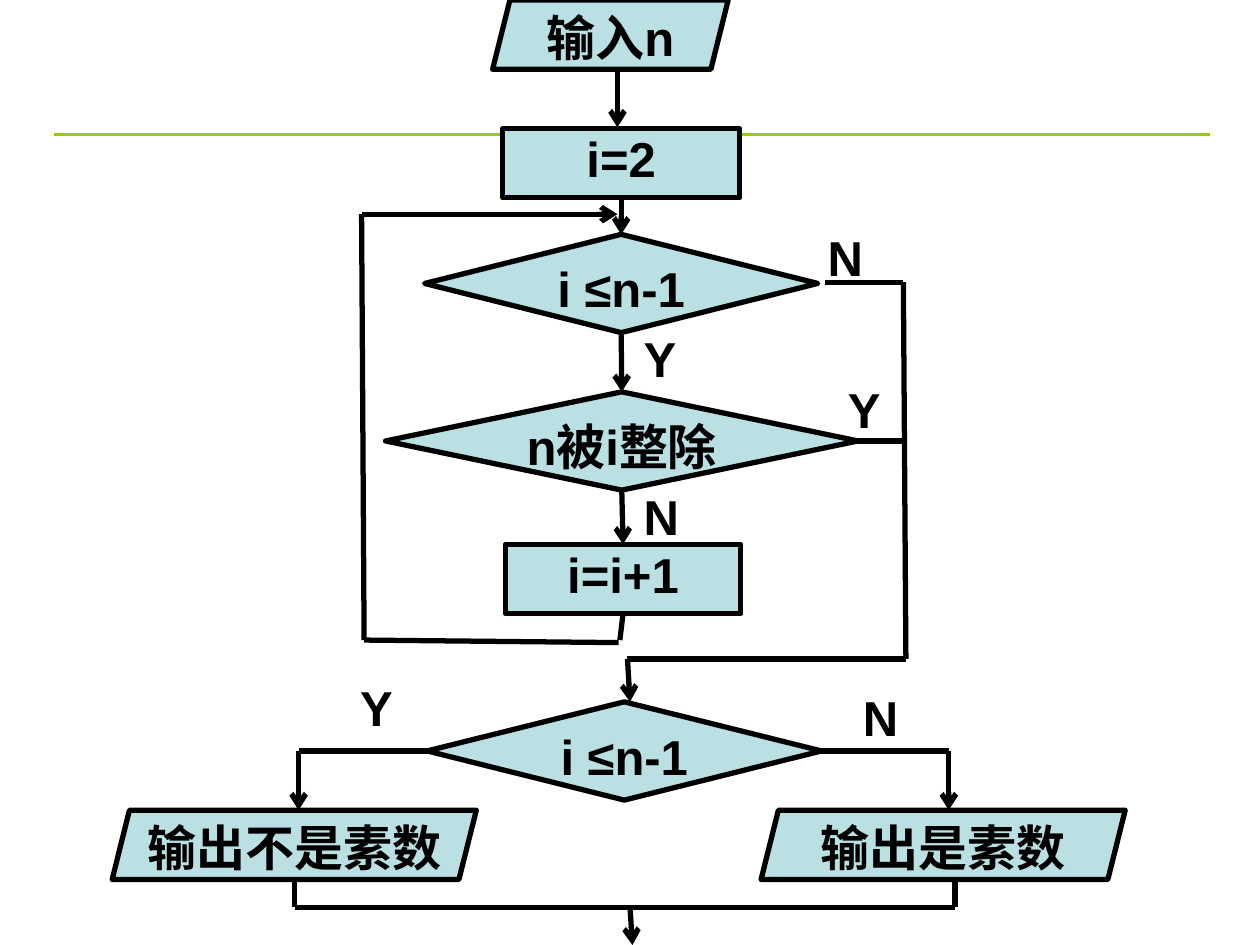
"""Build a flowchart slide that tests whether n is prime."""
from itertools import pairwise

from lxml.etree import SubElement
from pptx import Presentation
from pptx.dml.color import RGBColor
from pptx.enum.shapes import MSO_CONNECTOR as Connector, MSO_SHAPE as Shape
from pptx.enum.text import MSO_ANCHOR as Anchor, PP_ALIGN as Align
from pptx.oxml.ns import qn
from pptx.util import Inches, Pt

BLACK = RGBColor(0x00, 0x00, 0x00)
PALE_TEAL = RGBColor(0xBB, 0xE0, 0xE3)
LIME = RGBColor(0x99, 0xCC, 0x00)
TOP, LEFT, BOTTOM, RIGHT = range(4)


class Flowchart:
    """Holds the style and the page, and draws each kind of element."""

    font_format = {"name": "Arial", "size": Pt(28), "bold": True}
    node_frame = {"margin_left": 0, "margin_top": 0, "margin_right": 0,
                  "margin_bottom": 0, "word_wrap": False,
                  "vertical_anchor": Anchor.TOP}
    label_frame = {"word_wrap": True, "vertical_anchor": Anchor.TOP}
    line_width = 3

    def __init__(self, page):
        self.page = page

    def add_words(self, box, text, frame_format, align):
        frame = box.text_frame
        for name, value in frame_format.items():
            setattr(frame, name, value)
        para = frame.paragraphs[0]
        para.alignment = align
        span = para.add_run()
        span.text = text
        for name, value in self.font_format.items():
            setattr(span.font, name, value)
        span.font.color.rgb = BLACK

    def node(self, kind, text, left, top, width, height):
        box = self.page.shapes.add_shape(
            kind, *map(Inches, (left, top, width, height)))
        box.shadow.inherit = False
        box.fill.solid()
        box.fill.fore_color.rgb = PALE_TEAL
        box.line.color.rgb = BLACK
        box.line.width = Pt(self.line_width)
        self.add_words(box, text, self.node_frame, Align.CENTER)
        return box

    def label(self, text, left, top):
        box = self.page.shapes.add_textbox(
            *map(Inches, (left, top, 0.55, 0.57)))
        self.add_words(box, text, self.label_frame, Align.LEFT)

    def line(self, start, end, color=BLACK, width=line_width):
        line = self.page.shapes.add_connector(
            Connector.STRAIGHT, *map(Inches, (*start, *end)))
        line.line.color.rgb = color
        line.line.width = Pt(width)
        SubElement(line._element.spPr, qn("a:effectLst"))
        return line

    def route(self, *points, begin=None, end=None, arrow=False):
        lines = [self.line(*pair) for pair in pairwise(points)]
        if begin:
            lines[0].begin_connect(*begin)
        if end:
            lines[-1].end_connect(*end)
        if arrow:
            SubElement(lines[-1].get_or_add_ln(), qn("a:tailEnd"), type="arrow")


def main():
    deck = Presentation()
    deck.slide_width, deck.slide_height = Inches(10), Inches(7.5)
    chart = Flowchart(deck.slides.add_slide(deck.slide_layouts[6]))

    chart.line((0.43, 1.07), (9.6, 1.07), LIME, 1.5)

    chart.node(Shape.PARALLELOGRAM, "输入n", 3.91, 0, 1.87, 0.55)
    start = chart.node(Shape.FLOWCHART_PROCESS, "i=2", 3.99, 1.02, 1.88, 0.55)
    loop_test = chart.node(Shape.FLOWCHART_DECISION, "i ≤n-1", 3.37, 1.86, 3.12, 0.78)
    divides = chart.node(Shape.FLOWCHART_DECISION, "n被i整除", 3.06, 3.11, 3.75, 0.78)
    step = chart.node(Shape.FLOWCHART_PROCESS, "i=i+1", 4.01, 4.32, 1.87, 0.55)
    result = chart.node(Shape.FLOWCHART_DECISION, "i ≤n-1", 3.39, 5.57, 3.13, 0.78)
    for text, left in (("输出不是素数", 0.89), ("输出是素数", 6.04)):
        chart.node(Shape.PARALLELOGRAM, text, left, 6.43, 2.89, 0.55)

    chart.route((4.9, 0.54), (4.9, 1.01), arrow=True)
    chart.route((4.93, 1.57), (4.93, 1.86), arrow=True,
                begin=(start, BOTTOM), end=(loop_test, TOP))
    chart.route((4.93, 2.64), (4.93, 3.11), arrow=True,
                begin=(loop_test, BOTTOM), end=(divides, TOP))
    chart.route((4.93, 3.89), (4.94, 4.32), arrow=True,
                begin=(divides, BOTTOM), end=(step, TOP))

    chart.route((4.94, 4.87), (4.92, 5.08), begin=(step, BOTTOM))
    chart.route((4.91, 5.1), (2.89, 5.08), (2.87, 1.7), (4.9, 1.7), arrow=True)

    chart.route((6.55, 2.24), (7.17, 2.24), (7.19, 5.23), (4.98, 5.23),
                (5, 5.57), arrow=True)
    chart.route((6.81, 3.5), (7.19, 3.5), begin=(divides, RIGHT))

    for edge, side, branch, outlet in ((3.39, LEFT, 2.37, 2.34),
                                       (6.52, RIGHT, 7.53, 7.58)):
        chart.route((edge, 5.96), (branch, 5.96), (branch, 6.43),
                    begin=(result, side), arrow=True)
        chart.route((outlet, 6.97), (outlet, 7.2))
    chart.route((2.34, 7.2), (7.58, 7.2))
    chart.route((5, 7.2), (5.02, 7.5), arrow=True)

    for text, left, top in (("N", 6.47, 1.76), ("Y", 5.01, 2.56),
                            ("Y", 6.63, 2.96), ("N", 5.01, 3.81),
                            ("Y", 2.76, 5.33), ("N", 6.75, 5.41)):
        chart.label(text, left, top)

    deck.save("out.pptx")


if __name__ == "__main__":
    main()
